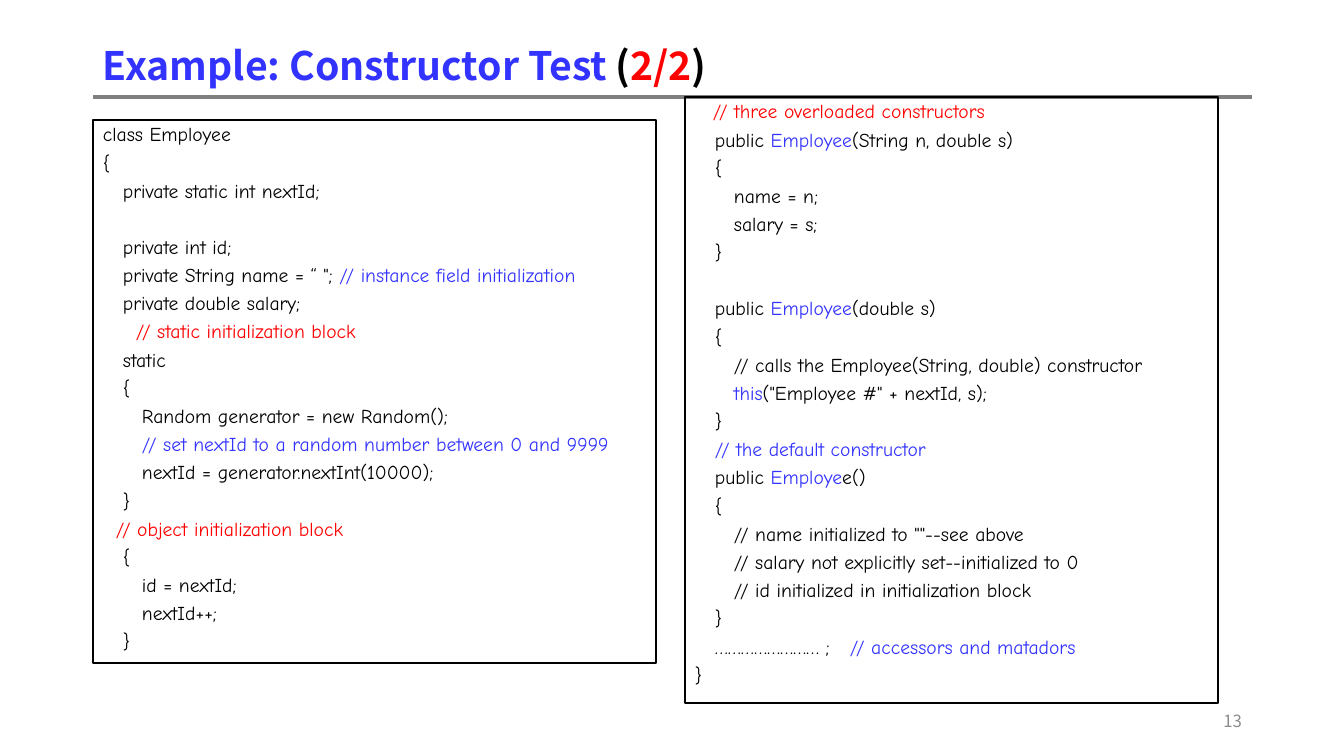
"""Builds the slide "Example: Constructor Test (2/2)" with two panels of Java code."""
from dataclasses import dataclass
from typing import NamedTuple

import lxml.etree
import pptx
import pptx.dml.color
import pptx.enum.shapes
import pptx.enum.text
import pptx.oxml.ns
import pptx.util

EMU_PER_PIXEL = 914400 / 100.8
COLOURS = {"ink": "000000", "blue": "3333FF", "red": "FF0000", "rule": "808080", "number": "8C8C8C"}
HEADING_FONT, CODE_FONT = "Noto Sans CJK KR", "Comic Neue"
GAP, FIRST_GAP, SKIPPED_LINE_GAP = 5, 8.5, 25
LEVEL_1, LEVEL_2 = 20, 39


class Span(NamedTuple):
    text: str
    colour: str = "ink"


class Box(NamedTuple):
    left: int
    top: int
    width: int
    height: int


@dataclass(frozen=True)
class CodeLine:
    indent: int
    spans: tuple[Span, ...]
    gap: float = GAP
    tab: int = 0


@dataclass(frozen=True)
class CodePanel:
    box: Box
    border: float
    lines: tuple[CodeLine, ...]


def code(indent: int, text: str, colour: str = "ink", gap: float = GAP) -> CodeLine:
    """Return a code line in a single colour."""
    return CodeLine(indent, (Span(text, colour),), gap)


def signature(name: str, rest: str, gap: float = GAP) -> CodeLine:
    """Return a constructor signature with its name in blue."""
    return CodeLine(LEVEL_1, (Span("public "), Span(name, "blue"), Span(rest)), gap)


FIELDS_AND_BLOCKS = CodePanel(Box(93, 120, 563, 543), 1.75, (
    code(0, "class Employee"),
    code(0, "{"),
    code(LEVEL_1, "private static int nextId;"),
    code(LEVEL_1, "private int id;", gap=SKIPPED_LINE_GAP),
    CodeLine(LEVEL_1, (Span("private String name = “ \"; "),
                       Span("// instance field initialization", "blue"))),
    code(LEVEL_1, "private double salary;"),
    code(33, "// static initialization block", "red"),
    code(LEVEL_1, "static"),
    code(LEVEL_1, "{"),
    code(LEVEL_2, "Random generator = new Random();"),
    code(LEVEL_2, "// set nextId to a random number between 0 and 9999", "blue"),
    code(LEVEL_2, "nextId = generator.nextInt(10000);"),
    code(LEVEL_1, "}"),
    code(13, "// object initialization block", "red"),
    code(LEVEL_1, "{"),
    code(LEVEL_2, "id = nextId;"),
    code(LEVEL_2, "nextId++;"),
    code(LEVEL_1, "}"),
))

CONSTRUCTORS = CodePanel(Box(685, 97, 533, 606), 1.5, (
    code(18, "// three overloaded constructors", "red", FIRST_GAP),
    signature("Employee", "(String n, double s)"),
    code(LEVEL_1, "{"),
    code(LEVEL_2, "name = n;"),
    code(LEVEL_2, "salary = s;"),
    code(LEVEL_1, "}"),
    signature("Employee", "(double s)", SKIPPED_LINE_GAP),
    code(LEVEL_1, "{"),
    code(LEVEL_2, "// calls the Employee(String, double) constructor"),
    CodeLine(LEVEL_2, (Span("this", "blue"), Span('("Employee #" + nextId, s);'))),
    code(LEVEL_1, "}"),
    code(LEVEL_1, "// the default constructor", "blue"),
    signature("Employe", "e()"),
    code(LEVEL_1, "{"),
    code(LEVEL_2, '// name initialized to ""--see above'),
    code(LEVEL_2, "// salary not explicitly set--initialized to 0"),
    code(LEVEL_2, "// id initialized in initialization block"),
    code(LEVEL_1, "}"),
    CodeLine(LEVEL_1, (Span("……………………" + " ;\t"), Span("// accessors and matadors", "blue")), tab=155),
    code(0, "}"),
))


def emu(pixels: int) -> pptx.util.Emu:
    """Convert pixels to EMU."""
    return pptx.util.Emu(round(pixels * EMU_PER_PIXEL))


def rgb(colour: str) -> pptx.dml.color.RGBColor:
    """Look up a named colour."""
    return pptx.dml.color.RGBColor.from_string(COLOURS[colour])


def add_spans(paragraph, spans: tuple[Span, ...], font: str, size: int, bold: bool = False) -> None:
    """Append each span to the paragraph as a run."""
    for span in spans:
        run = paragraph.add_run()
        run.text = span.text
        run.font.name, run.font.size, run.font.bold = font, pptx.util.Pt(size), bold
        run.font.color.rgb = rgb(span.colour)


def add_label(slide, box: Box, spans: tuple[Span, ...], size: int,
              align: pptx.enum.text.PP_ALIGN, bold: bool = False) -> None:
    """Draw one line of heading-font text, centred vertically in its box."""
    frame = slide.shapes.add_textbox(*map(emu, box)).text_frame
    frame.word_wrap = True
    frame.vertical_anchor = pptx.enum.text.MSO_ANCHOR.MIDDLE
    paragraph = frame.paragraphs[0]
    paragraph.alignment = align
    paragraph.line_spacing = 0.9 if bold else 1.0
    add_spans(paragraph, spans, HEADING_FONT, size, bold)


def add_title_rule(slide) -> None:
    """Draw the line under the title."""
    rule = slide.shapes.add_connector(pptx.enum.shapes.MSO_CONNECTOR.STRAIGHT,
                                      emu(93), emu(97), emu(1252), emu(97))
    rule.line.color.rgb = rgb("rule")
    rule.line.width = pptx.util.Pt(3)
    lxml.etree.SubElement(rule._element.spPr, pptx.oxml.ns.qn("a:effectLst"))


def add_code_panel(slide, panel: CodePanel) -> None:
    """Draw a bordered panel with its code lines."""
    frame_shape = slide.shapes.add_shape(pptx.enum.shapes.MSO_SHAPE.RECTANGLE, *map(emu, panel.box))
    frame_shape.shadow.inherit = False
    frame_shape.fill.background()
    frame_shape.line.color.rgb = rgb("ink")
    frame_shape.line.width = pptx.util.Pt(panel.border)
    frame = frame_shape.text_frame
    frame.word_wrap = True
    frame.vertical_anchor = pptx.enum.text.MSO_ANCHOR.TOP
    for index, line in enumerate(panel.lines):
        paragraph = frame.add_paragraph() if index else frame.paragraphs[0]
        paragraph.alignment = pptx.enum.text.PP_ALIGN.LEFT
        paragraph.line_spacing = 0.9
        paragraph.space_before = pptx.util.Pt(line.gap)
        margin = line.tab or line.indent
        properties = paragraph._p.get_or_add_pPr()
        properties.set("marL", str(emu(margin)))
        properties.set("indent", str(emu(line.indent - margin)))
        add_spans(paragraph, line.spans, CODE_FONT, 14)


def main() -> None:
    """Build and save the slide."""
    deck = pptx.Presentation()
    deck.slide_width, deck.slide_height = emu(1344), emu(756)
    slide = deck.slides.add_slide(deck.slide_layouts[6])
    add_title_rule(slide)
    title = (Span("Example: Constructor Test ", "blue"), Span("("), Span("2/2", "red"), Span(")"))
    add_label(slide, Box(93, 40, 1159, 56), title, 28, pptx.enum.text.PP_ALIGN.LEFT, bold=True)
    add_label(slide, Box(950, 701, 302, 40), (Span("13", "number"),), 12, pptx.enum.text.PP_ALIGN.RIGHT)
    for panel in (FIELDS_AND_BLOCKS, CONSTRUCTORS):
        add_code_panel(slide, panel)
    deck.save("out.pptx")


main()
